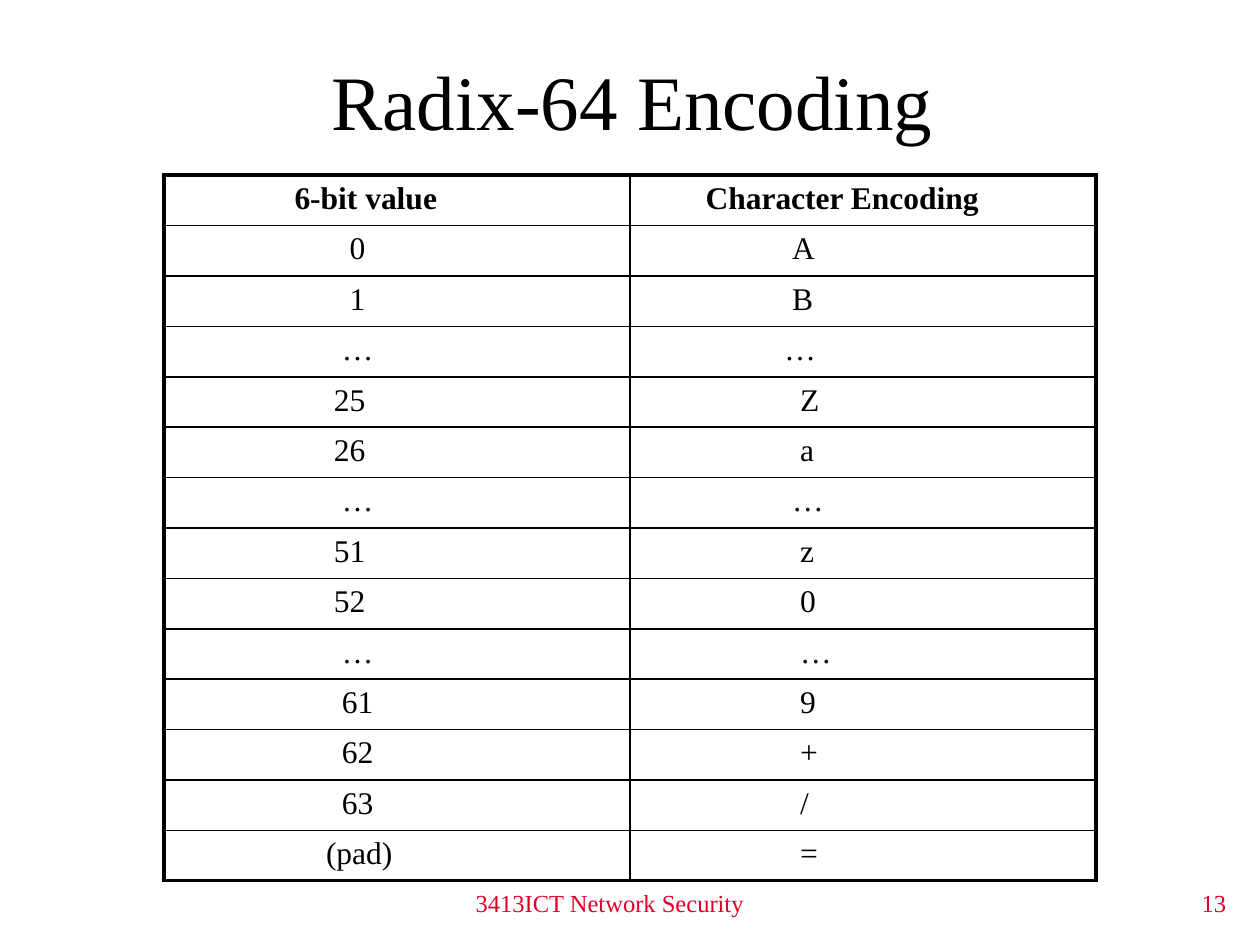
"""Build the Radix-64 encoding slide with its table and footer."""
import pptx
import pptx.dml.color
import pptx.enum.text
import pptx.oxml
import pptx.oxml.ns
import pptx.util

Inches = pptx.util.Inches
Pt = pptx.util.Pt
Align = pptx.enum.text.PP_ALIGN
Anchor = pptx.enum.text.MSO_ANCHOR


def write(frame, text, size=18, color="000000", bold=False, align=Align.LEFT, indent=0):
    frame.word_wrap = True
    para = frame.paragraphs[0]
    para.alignment = align
    para._p.get_or_add_pPr().set("marL", str(Inches(indent)))
    run = para.add_run()
    run.text = text
    run.font.name = "Times New Roman"
    run.font.size = Pt(size)
    run.font.bold = bold
    run.font.color.rgb = pptx.dml.color.RGBColor.from_string(color)


def edge(cell, side, width, color="000000"):
    cell._tc.get_or_add_tcPr().append(pptx.oxml.parse_xml(
        f'<a:ln{side} {pptx.oxml.ns.nsdecls("a")} w="{Pt(width)}">'
        f'<a:solidFill><a:srgbClr val="{color}"/></a:solidFill></a:ln{side}>'))


deck = pptx.Presentation()
deck.slide_width, deck.slide_height = Inches(10), Inches(7.5)
slide = deck.slides.add_slide(deck.slide_layouts[5])

title = slide.shapes.title
title.left, title.top = Inches(1.25), Inches(0.17)
title.width, title.height = Inches(7.69), Inches(1.25)
title.text_frame.vertical_anchor = Anchor.MIDDLE
write(title.text_frame, "Radix-64 Encoding ", size=44, align=Align.CENTER)

# Each entry pairs a label with its indent, counted in space widths.
rows = [
    (("6-bit value", 15), ("Character Encoding", 8)),
    (("0", 22), ("A", 19)),
    (("1", 22), ("B", 19)),
    (("…", 21), ("…", 18)),
    (("25", 20), ("Z", 20)),
    (("26", 20), ("a", 20)),
    (("…", 21), ("…", 19)),
    (("51", 20), ("z", 20)),
    (("52", 20), ("0", 20)),
    (("…", 21), ("…", 20)),
    (("61", 21), ("9", 20)),
    (("62", 21), ("+", 20)),
    (("63", 21), ("/", 20)),
    (("(pad)", 19), ("=", 20)),
]
space = 0.0625
thin, thick = 1, 2.25
last = len(rows) - 1
table = slide.shapes.add_table(len(rows), 2, Inches(1.3), Inches(1.39),
                               Inches(7.4), Inches(5.6)).table
table.first_row = table.horz_banding = False
for r, row in enumerate(rows):
    table.rows[r].height = Inches(0.4)
    for c, (text, gap) in enumerate(row):
        cell = table.cell(r, c)
        write(cell.text_frame, text, bold=r == 0, indent=gap * space)
        outer = {"L": c == 0, "R": c == 1, "T": r == 0, "B": r == last}
        for side, rim in outer.items():
            edge(cell, side, thick if rim else thin)
        cell.fill.background()

foot = [
    ("13", 7, 2.83, Align.RIGHT),
    ("3413ICT Network Security", 2.87, 3.94, Align.CENTER),
]
for text, left, width, align in foot:
    box = slide.shapes.add_textbox(Inches(left), Inches(7), Inches(width), Inches(0.33))
    write(box.text_frame, text, size=14, color="DF0029", align=align)

deck.save("out.pptx")
